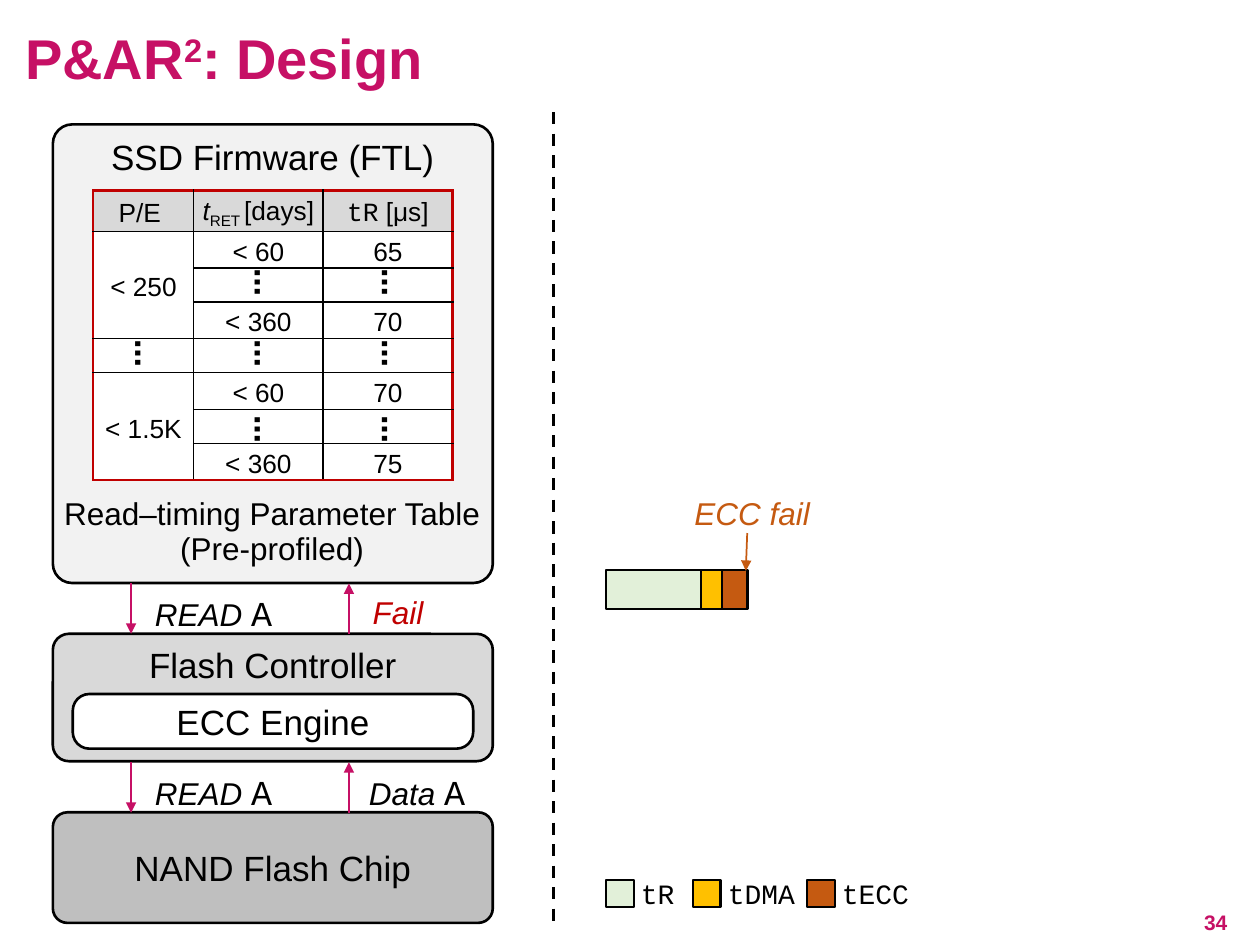
import pptx
import pptx.util
import pptx.dml.color
import pptx.enum.dml
import pptx.enum.shapes
import pptx.enum.text
import pptx.oxml
import pptx.oxml.ns
from lxml import etree

Pt = pptx.util.Pt
RGB = pptx.dml.color.RGBColor.from_string
ALIGN = pptx.enum.text.PP_ALIGN
ANCHOR = pptx.enum.text.MSO_ANCHOR
SHAPE = pptx.enum.shapes.MSO_SHAPE
qn = pptx.oxml.ns.qn

COLORS = {
    "black": "000000", "white": "FFFFFF", "magenta": "C61065", "red": "C00000",
    "firmware": "F2F2F2", "controller": "D9D9D9", "chip": "BFBFBF",
    "tR": "E2F0D9", "tDMA": "FFC000", "tECC": "C55A11",
}
SANS, MONO = "Arial", "Courier New"


def write(frame, spans, size, font=SANS, color="black", align=ALIGN.CENTER,
          anchor=ANCHOR.MIDDLE, margins=(0, 0, 0, 0), bold=False):
    """Fill a frame with one paragraph; spans are (text, run overrides)."""
    frame.word_wrap = True
    frame.vertical_anchor = anchor
    (frame.margin_left, frame.margin_top,
     frame.margin_right, frame.margin_bottom) = map(Pt, margins)
    para = frame.paragraphs[0]
    para.alignment = align
    for text, style in spans:
        span = para.add_run()
        span.text = text
        span.font.name = style.get("font", font)
        span.font.size = Pt(style.get("size", size))
        span.font.bold = bold
        span.font.italic = style.get("italic", False)
        span.font.color.rgb = RGB(COLORS[color])
        if "baseline" in style:
            span.font._element.set("baseline", str(style["baseline"] * 1000))


def add_line(start, end, color, width, arrow=True):
    line = page.shapes.add_connector(
        pptx.enum.shapes.MSO_CONNECTOR.STRAIGHT, *map(Pt, start + end))
    line.line.color.rgb = RGB(COLORS[color])
    line.line.width = Pt(width)
    if arrow:
        etree.SubElement(line.line._get_or_add_ln(), qn("a:tailEnd"), type="triangle")
    etree.SubElement(line._element.spPr, qn("a:effectLst"))
    return line


deck = pptx.Presentation()
deck.slide_width, deck.slide_height = Pt(720), Pt(540)
page = deck.slides.add_slide(deck.slide_layouts[6])

# Title and page number
box = page.shapes.add_textbox(Pt(0), Pt(0), Pt(720), Pt(64))
write(box.text_frame, [("P&AR", {}), ("2", {"baseline": 30}), (": Design", {})], 32,
      color="magenta", align=ALIGN.LEFT, margins=(14.4, 5.76, 14.4, 0), bold=True)
box.text_frame.paragraphs[0].line_spacing = 0.9
box = page.shapes.add_textbox(Pt(547.2), Pt(512.6), Pt(161.3), Pt(28.8))
write(box.text_frame, [("34", {})], 12, color="magenta", align=ALIGN.RIGHT,
      margins=(7.2, 3.6, 7.2, 3.6), bold=True)

# Stacked component blocks: text, left, top, width, height, corner, fill, anchor
BLOCKS = [
    ("SSD Firmware (FTL)", 30.2, 71.1, 251.4, 262.1, 0.044, "firmware", ANCHOR.TOP),
    ("Flash Controller", 30.2, 362.2, 251.4, 72.8, 0.126, "controller", ANCHOR.TOP),
    ("NAND Flash Chip", 30.2, 464.2, 251.4, 63.2, 0.132, "chip", ANCHOR.MIDDLE),
    ("ECC Engine", 41.6, 396.6, 228.8, 31.2, 0.303, "white", ANCHOR.MIDDLE),
]
for text, left, top, width, height, corner, fill, anchor in BLOCKS:
    block = page.shapes.add_shape(SHAPE.ROUNDED_RECTANGLE,
                                  *map(Pt, (left, top, width, height)))
    block.adjustments[0] = corner
    block.shadow.inherit = False
    block.fill.solid()
    block.fill.fore_color.rgb = RGB(COLORS[fill])
    block.line.color.rgb = RGB(COLORS["black"])
    block.line.width = Pt(1.5)
    write(block.text_frame, [(text, {})], 20, anchor=anchor, margins=(0, 2.88, 0, 2.88))

# Read-timing parameter table
ROWS = [
    [[("P/E ", {})],
     [("t", {"italic": True}), ("RET ", {"baseline": -25}), ("[days]", {})],
     [("tR", {"font": MONO}), (" [μs]", {})]],
    ["< 250", "< 60", "65"],
    ["", "", ""],
    ["", "< 360", "70"],
    ["", "", ""],
    ["< 1.5K", "< 60", "70"],
    ["", "", ""],
    ["", "< 360", "75"],
]
frame = page.shapes.add_table(len(ROWS), 3, Pt(53.3), Pt(108.8), Pt(205.4), Pt(158.85))
table = frame.table
table.first_row = table.horz_banding = False
for column, width in zip(table.columns, (57.4, 74, 74)):
    column.width = Pt(width)
for index, row in enumerate(table.rows):
    row.height = Pt(19.55 if index else 22)
for first in (1, 5):
    table.cell(first, 0).merge(table.cell(first + 2, 0))

for r, row in enumerate(ROWS):
    for c, content in enumerate(row):
        cell = table.cell(r, c)
        cell.fill.solid()
        cell.fill.fore_color.rgb = RGB(COLORS["white" if r else "controller"])
        cell.vertical_anchor = ANCHOR.MIDDLE
        cell.margin_left = cell.margin_right = cell.margin_bottom = Pt(0)
        cell.margin_top = Pt(2.88 if content else 0)
        if content:
            spans = [(content, {})] if isinstance(content, str) else content
            para = cell.text_frame.paragraphs[0]
            para.alignment = ALIGN.CENTER
            for text, style in spans:
                span = para.add_run()
                span.text = text
                span.font.name = style.get("font", SANS)
                span.font.size = Pt(15)
                span.font.italic = style.get("italic", False)
                span.font.color.rgb = RGB(COLORS["black"])
                if "baseline" in style:
                    span.font._element.set("baseline", str(style["baseline"] * 1000))
        else:
            end = etree.SubElement(cell.text_frame.paragraphs[0]._p, qn("a:endParaRPr"))
            end.set("sz", "1200")
        span_rows = cell.span_height if cell.is_merge_origin else 1
        outer = {"L": c == 0, "R": c == 2, "T": r == 0, "B": r + span_rows == len(ROWS)}
        for position, (side, is_outer) in enumerate(outer.items()):
            border = etree.Element(qn("a:ln" + side), w=str(Pt(1.5 if is_outer else 1)))
            solid = etree.SubElement(border, qn("a:solidFill"))
            etree.SubElement(solid, qn("a:srgbClr"),
                             val=COLORS["red" if is_outer else "black"])
            cell._tc.get_or_add_tcPr().insert(position, border)

# Vertical ellipses over the skipped rows
DOTS = [(x, y) for y in (151.2, 191.5, 234.7) for x in (137.5, 210.2)] + [(69.1, 191.5)]
for left, top in DOTS:
    box = page.shapes.add_textbox(Pt(left), Pt(top), Pt(20.9), Pt(20.9))
    box.rotation = 90
    write(box.text_frame, [("⋯", {})], 16, font="Calibri", bold=True)

# Table caption
for text, top in (("Read–timing Parameter Table", 282.2), ("(Pre-profiled)", 302.4)):
    box = page.shapes.add_textbox(Pt(18), Pt(top), Pt(275), Pt(21.6))
    write(box.text_frame, [(text, {})], 18)

# Commands down and replies up between the blocks
UPPER, LOWER = (333.4, 362.2), (435.6, 464.4)
for top, bottom in (UPPER, LOWER):
    add_line((74.9, top), (74.9, bottom), "magenta", 1.5)
    add_line((199.4, bottom), (199.4, top), "magenta", 1.5)
ADDRESS = ("A", {"size": 20, "font": MONO})
LABELS = [
    ([("READ ", {"italic": True}), ADDRESS], 74.9, 334.1, 94.3, 31.7, "black"),
    ([("READ ", {"italic": True}), ADDRESS], 74.9, 436.3, 94.3, 31.7, "black"),
    ([("Data ", {"italic": True}), ADDRESS], 199.4, 436.3, 77.8, 31.7, "black"),
    ([("Fail", {"italic": True})], 188.6, 335.5, 77.8, 28.8, "red"),
    ([("ECC fail", {"italic": True})], 368.6, 282.2, 116.6, 21.6, "tECC"),
]
for spans, left, top, width, height, color in LABELS:
    box = page.shapes.add_textbox(*map(Pt, (left, top, width, height)))
    margins = (5.76, 0, 0, 0) if color == "tECC" else (7.2, 3.6, 7.2, 3.6)
    write(box.text_frame, spans, 18, color=color, margins=margins)

# Read latency bar and its legend: phase, left, top, width, height
PHASES = [("tR", 346.3, 325.9, 54.2, 22), ("tDMA", 400.5, 325.9, 11.9, 22),
          ("tECC", 412.4, 325.9, 14.8, 22)]
KEYS = [("tR", 346.3, 502.8, 15.8, 15.6), ("tDMA", 396, 502.8, 15.8, 15.6),
        ("tECC", 461.2, 502.8, 15.8, 15.6)]
for phase, left, top, width, height in PHASES + KEYS:
    bar = page.shapes.add_shape(SHAPE.RECTANGLE, *map(Pt, (left, top, width, height)))
    bar.shadow.inherit = False
    bar.fill.solid()
    bar.fill.fore_color.rgb = RGB(COLORS[phase])
    bar.line.color.rgb = RGB(COLORS["black"])
    bar.line.width = Pt(1.25)
for phase, left, top, width, height in KEYS:
    box = page.shapes.add_textbox(Pt(left + 19.9), Pt(499.7), Pt(60), Pt(21.6))
    write(box.text_frame, [(phase, {})], 16, font=MONO, align=ALIGN.LEFT,
          margins=(0, 3.6, 0, 3.6))
add_line((427, 304.6), (426.2, 326.2), "tECC", 1)

# Divider
divider = add_line((316.1, 64.1), (316.1, 527), "black", 1.75, arrow=False)
divider.line.dash_style = pptx.enum.dml.MSO_LINE.DASH

deck.save("out.pptx")
